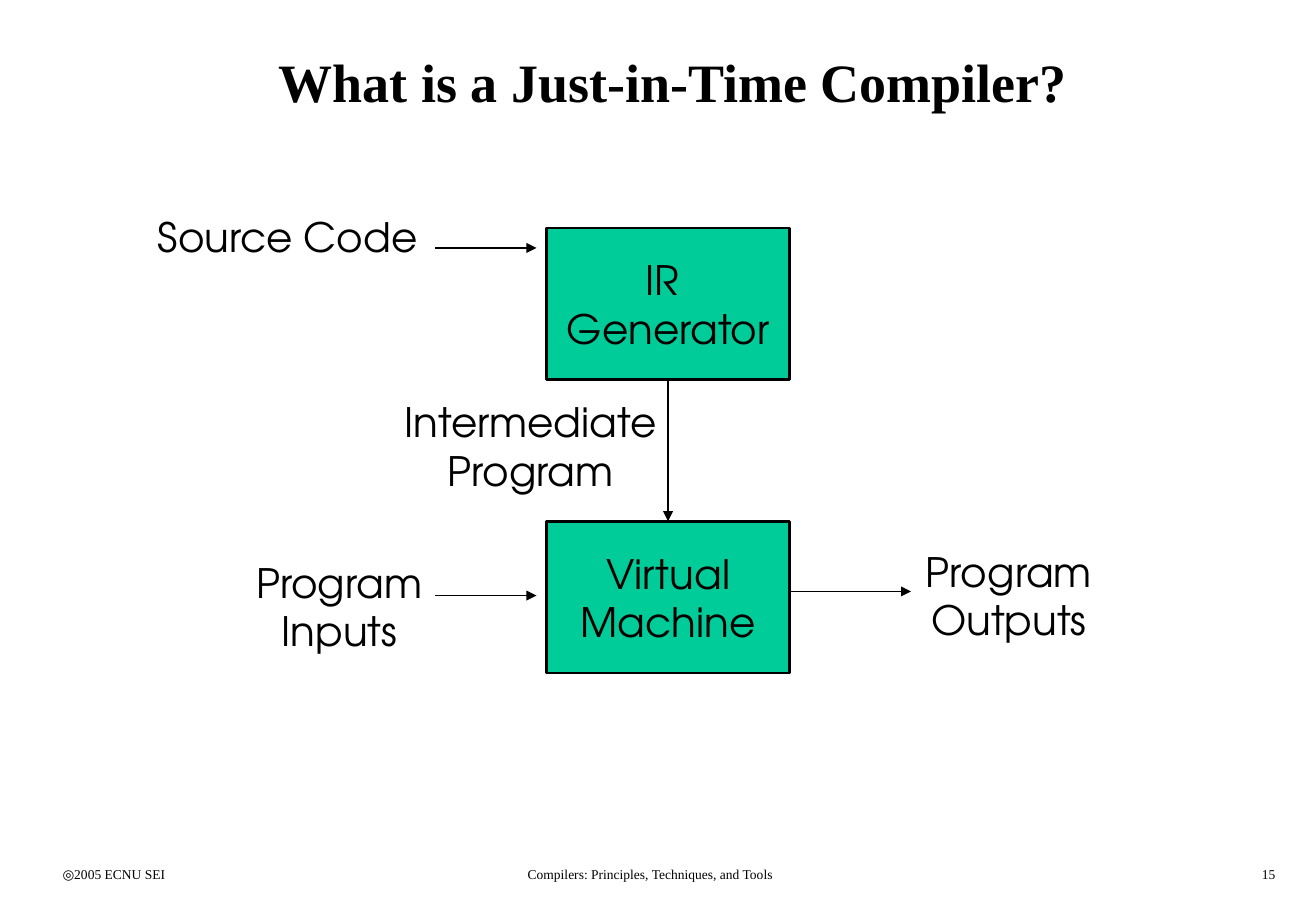
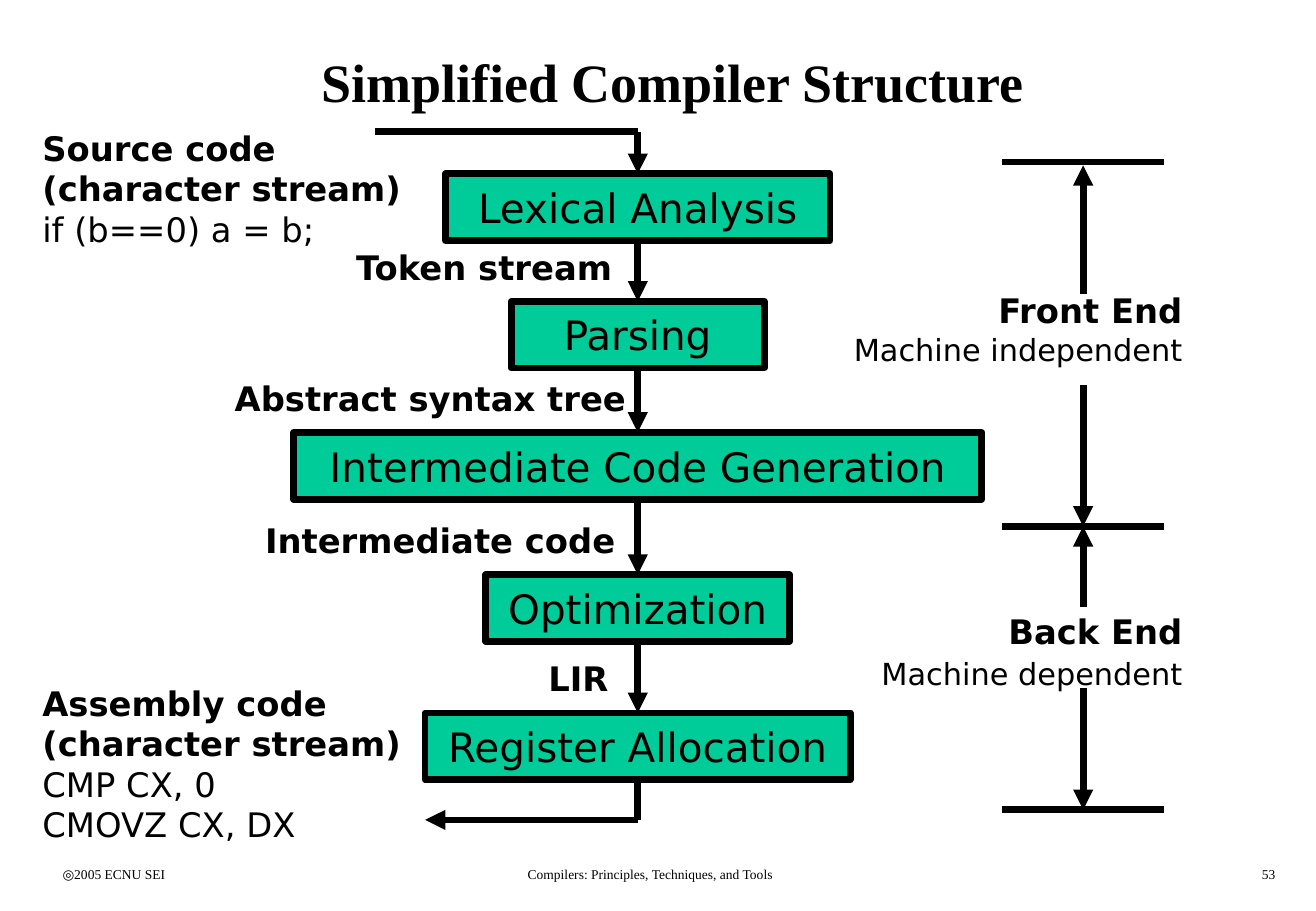
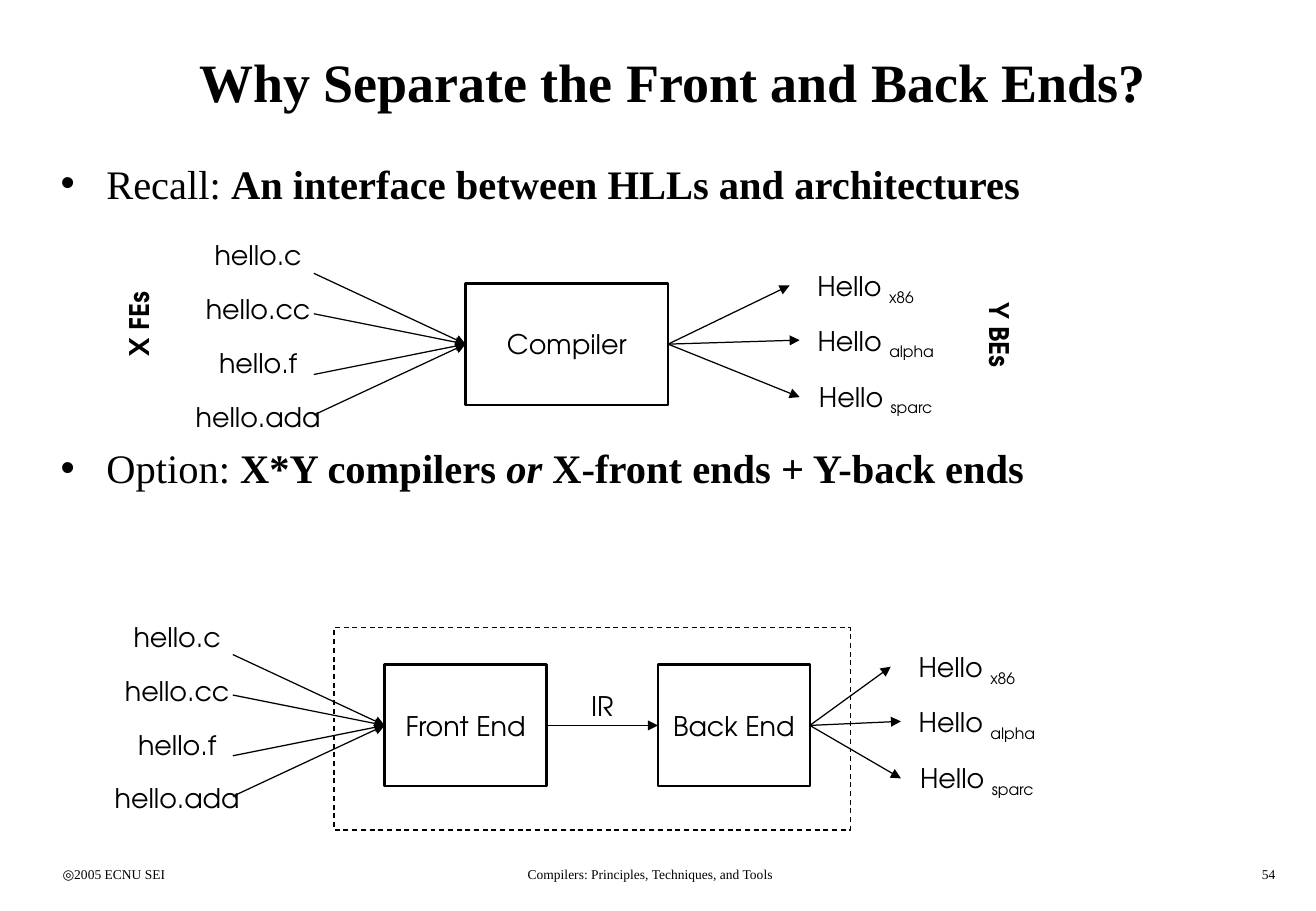
from lxml import etree
from pptx import Presentation
from pptx.dml.color import RGBColor
from pptx.enum import dml, shapes, text
from pptx.oxml import ns
from pptx.util import Pt

BLACK = RGBColor(0x00, 0x00, 0x00)
GREEN = RGBColor(0x00, 0xCC, 0x99)
SERIF = "Times New Roman"
SANS = "DejaVu Sans"
GEOMETRIC = "TeX Gyre Adventor"
LEFT, CENTER, RIGHT = text.PP_ALIGN.LEFT, text.PP_ALIGN.CENTER, text.PP_ALIGN.RIGHT
TITLE_ONLY, TITLE_AND_BODY = 5, 1
THIN, MEDIUM, THICK = 0.75, 1.5, 4


def style_span(span, font, size, bold=False):
    span.font.name = font
    span.font.size = Pt(size)
    span.font.bold = bold
    span.font.color.rgb = BLACK


def style_frame(frame, font, size, align, bold=False):
    for para in frame.paragraphs:
        para.alignment = align
        for span in para.runs:
            style_span(span, font, size, bold)


def place(item, left, top, width, height):
    item.left, item.top, item.width, item.height = map(Pt, (left, top, width, height))


def add_label(page, words, at, font, size, align=CENTER, bold=False):
    box = page.shapes.add_textbox(*map(Pt, at))
    frame = box.text_frame
    frame.word_wrap = True
    frame.auto_size = text.MSO_AUTO_SIZE.SHAPE_TO_FIT_TEXT
    frame.text = words
    style_frame(frame, font, size, align, bold)
    return box


def add_box(page, words, at, font, size, weight, fill=None):
    box = page.shapes.add_shape(shapes.MSO_SHAPE.RECTANGLE, *map(Pt, at))
    box.shadow.inherit = False
    if fill is None:
        box.fill.background()
    else:
        box.fill.solid()
        box.fill.fore_color.rgb = fill
    box.line.color.rgb = BLACK
    box.line.width = Pt(weight)
    frame = box.text_frame
    frame.word_wrap = False
    frame.vertical_anchor = text.MSO_ANCHOR.MIDDLE
    frame.text = words
    style_frame(frame, font, size, CENTER)
    return box


def add_line(page, start, end, weight, arrow="tailEnd"):
    """Each end is a point (x, y) or a joint (shape, side); arrow names the pointed end."""
    line = page.shapes.add_connector(shapes.MSO_CONNECTOR.STRAIGHT, 0, 0, 0, 0)
    if hasattr(start[0], "shape_id"):
        line.begin_connect(*start)
    else:
        line.begin_x, line.begin_y = map(Pt, start)
    if hasattr(end[0], "shape_id"):
        line.end_connect(*end)
    else:
        line.end_x, line.end_y = map(Pt, end)
    line.line.color.rgb = BLACK
    line.line.width = Pt(weight)
    if arrow:
        outline = line.line._get_or_add_ln()
        etree.SubElement(outline, ns.qn(f"a:{arrow}"), type="triangle")
    etree.SubElement(line._element.spPr, ns.qn("a:effectLst"))


def add_page(deck, layout, title, number):
    page = deck.slides.add_slide(deck.slide_layouts[layout])
    place(page.shapes.title, 30, 12, 738, 72)
    frame = page.shapes.title.text_frame
    frame.text = title
    frame.auto_size = text.MSO_AUTO_SIZE.NONE
    frame.vertical_anchor = text.MSO_ANCHOR.MIDDLE
    style_frame(frame, SERIF, 32, CENTER, bold=True)
    footers = [
        ("◎2005 ECNU SEI", 30, 163, LEFT),
        ("Compilers: Principles, Techniques, and Tools ", 240.5, 292, CENTER),
        (str(number), 600, 163, RIGHT),
    ]
    for words, left, width, align in footers:
        add_label(page, words, (left, 510, width, 18), SERIF, 8, align)
    return page


def build_jit_page(deck):
    page = add_page(deck, TITLE_ONLY, "What is a Just-in-Time Compiler?", 15)
    generator, machine = [
        add_box(page, words, (324, top, 144, 90), GEOMETRIC, 24, MEDIUM, GREEN)
        for words, top in (("IR \nGenerator", 135), ("Virtual\nMachine", 309))
    ]
    for words, at in (
        ("Source Code", (83.5, 122.4, 174, 36)),
        ("Intermediate Program", (227.5, 232, 174, 65)),
        ("Program Inputs", (114, 327, 174, 65)),
        ("Program Outputs", (535.7, 320.4, 124.6, 65)),
    ):
        add_label(page, words, at, GEOMETRIC, 24)
    add_line(page, (258, 147), (318, 147), THIN)
    add_line(page, (258, 353), (318, 353), THIN)
    add_line(page, (468, 350.6), (540, 350.6), THIN)
    add_line(page, (generator, 2), (machine, 0), THIN)


def add_code_sample(page, words, top, height):
    """Two bold heading lines, then plain code lines."""
    box = add_label(page, words, (18, top, 228, height), SANS, 20, LEFT, bold=True)
    box.text_frame.margin_right = 0
    for para in box.text_frame.paragraphs[2:]:
        para.runs[0].font.bold = False


def build_structure_page(deck):
    page = add_page(deck, TITLE_ONLY, "Simplified Compiler Structure", 53)
    axis = 378
    stages = [
        add_box(page, words, (axis - width / 2, top, width, 39.6), SANS, 24, THICK, GREEN)
        for words, top, width in (
            ("Lexical Analysis", 103, 228),
            ("Parsing", 178.6, 150),
            ("Intermediate Code Generation", 256.3, 408),
            ("Optimization", 340.6, 180),
            ("Register Allocation", 422.6, 252),
        )
    ]
    for upper, lower in zip(stages, stages[1:]):
        add_line(page, (upper, 2), (lower, 0), THICK)
    add_line(page, (axis, 78), (222, 78), THICK, arrow=None)
    add_line(page, (axis, 78), (stages[0], 0), THICK)
    add_line(page, (stages[-1], 2), (axis, 486), THICK, arrow=None)
    add_line(page, (axis, 486), (252, 486), THICK)

    for words, left, top, width in (
        ("Token stream", 204, 142.6, 180),
        ("Abstract syntax tree", 132, 220.3, 252),
        ("Intermediate code", 150, 304.6, 234),
        ("LIR", 318, 386.6, 66),
    ):
        add_label(page, words, (left, top, width, 31), SANS, 20, LEFT, bold=True)
    add_code_sample(page, "Source code\n(character stream)\nif (b==0) a = b;", 72, 79)
    add_code_sample(
        page, "Assembly code\n(character stream)\nCMP CX, 0\nCMOVZ CX, DX", 401, 103)

    for height in (96, 312, 480):
        add_line(page, (594, height), (690, height), THICK, arrow=None)
    for name, name_top, note, note_top, top, upper_end, lower_start, bottom in (
        ("Front End", 168, "Machine independent", 193, 98, 174, 228, 312),
        ("Back End", 358.6, "Machine dependent", 385, 312, 360, 408, 480),
    ):
        add_label(page, name, (522, name_top, 186, 31), SANS, 20, RIGHT, bold=True)
        add_label(page, note, (498, note_top, 210, 29), SANS, 18, RIGHT)
        add_line(page, (642, top), (642, upper_end), THICK, "headEnd")
        add_line(page, (642, lower_start), (642, bottom), THICK)


def add_sources(page, target, dx=0, dy=0):
    """Source files that all lead into the left side of the target."""
    names = ("hello.c", "hello.cc", "hello.f", "hello.ada")
    for row, (name, start) in enumerate(zip(names, (162, 186, 222, 246))):
        add_label(page, name, (108 + dx, 138 + 32 * row + dy, 90, 27), GEOMETRIC, 16)
        add_line(page, (186 + dx, start + dy), (target, 1), THIN)


def add_programs(page, origin, dx=0, dy=0):
    """Machine programs that all come from the right side of the origin."""
    for machine, left, top, tip in (
        ("x86", 468, 156.2, 169.2),
        ("alpha", 474, 188.6, 201.6),
        ("sparc", 474, 221.8, 235.4),
    ):
        box = add_label(page, "Hello ", (left + dx, top + dy, 90, 27), GEOMETRIC, 16)
        span = box.text_frame.paragraphs[0].add_run()
        span.text = machine
        style_span(span, GEOMETRIC, 16)
        span._r.get_or_add_rPr().set("baseline", "-25000")
        add_line(page, (origin, 3), (left + dx, tip + dy), THIN)


def fill_body(body, bullets):
    """Each bullet is its space before and a list of (words, bold, italic)."""
    place(body, 36, 90, 660, 390)
    frame = body.text_frame
    frame.auto_size = text.MSO_AUTO_SIZE.NONE
    frame.margin_left = frame.margin_right = frame.margin_bottom = 0
    frame.margin_top = Pt(4)
    for index, (gap, spans) in enumerate(bullets):
        para = frame.paragraphs[0] if index == 0 else frame.add_paragraph()
        properties = para._p.get_or_add_pPr()
        properties.set("marL", str(Pt(27)))
        properties.set("indent", str(-Pt(27)))
        para.space_before = Pt(gap)
        for words, bold, italic in spans:
            span = para.add_run()
            span.text = words
            style_span(span, SERIF, 24, bold)
            span.font.italic = italic


def build_separation_page(deck):
    page = add_page(deck, TITLE_AND_BODY, "Why Separate the Front and Back Ends?", 54)
    fill_body(page.placeholders[1], [
        (0, [("Recall: ", False, False),
             ("An interface between HLLs and architectures", True, False)]),
        (140, [("Option: ", False, False), ("X*Y compilers ", True, False),
               ("or", True, True), (" X-front ends + Y-back ends", True, False)]),
    ])
    compiler = add_box(page, "Compiler", (276, 168, 120, 72), GEOMETRIC, 16, MEDIUM)
    add_sources(page, compiler)
    add_programs(page, compiler)
    for words, left, top, turn in (("X FEs", 46.8, 178.6, 270), ("Y BEs", 556.6, 185, 90)):
        side = add_label(page, words, (left, top, 72, 27), GEOMETRIC, 16, bold=True)
        side.rotation = turn

    front = add_box(page, "Front End", (228, 394, 96, 72), GEOMETRIC, 16, MEDIUM)
    back = add_box(page, "Back End", (390, 394, 90, 72), GEOMETRIC, 16, MEDIUM)
    add_sources(page, front, dx=-48, dy=226)
    add_programs(page, back, dx=60, dy=226)
    add_line(page, (front, 3), (back, 1), THIN)
    add_label(page, "IR", (312, 405.4, 90, 27), GEOMETRIC, 16)
    border = add_box(page, "", (198, 372, 306, 120), GEOMETRIC, 16, THIN)
    border.line.dash_style = dml.MSO_LINE.DASH


def main():
    deck = Presentation()
    deck.slide_width, deck.slide_height = Pt(780), Pt(540)
    build_jit_page(deck)
    build_structure_page(deck)
    build_separation_page(deck)
    deck.save("out.pptx")


if __name__ == "__main__":
    main()
